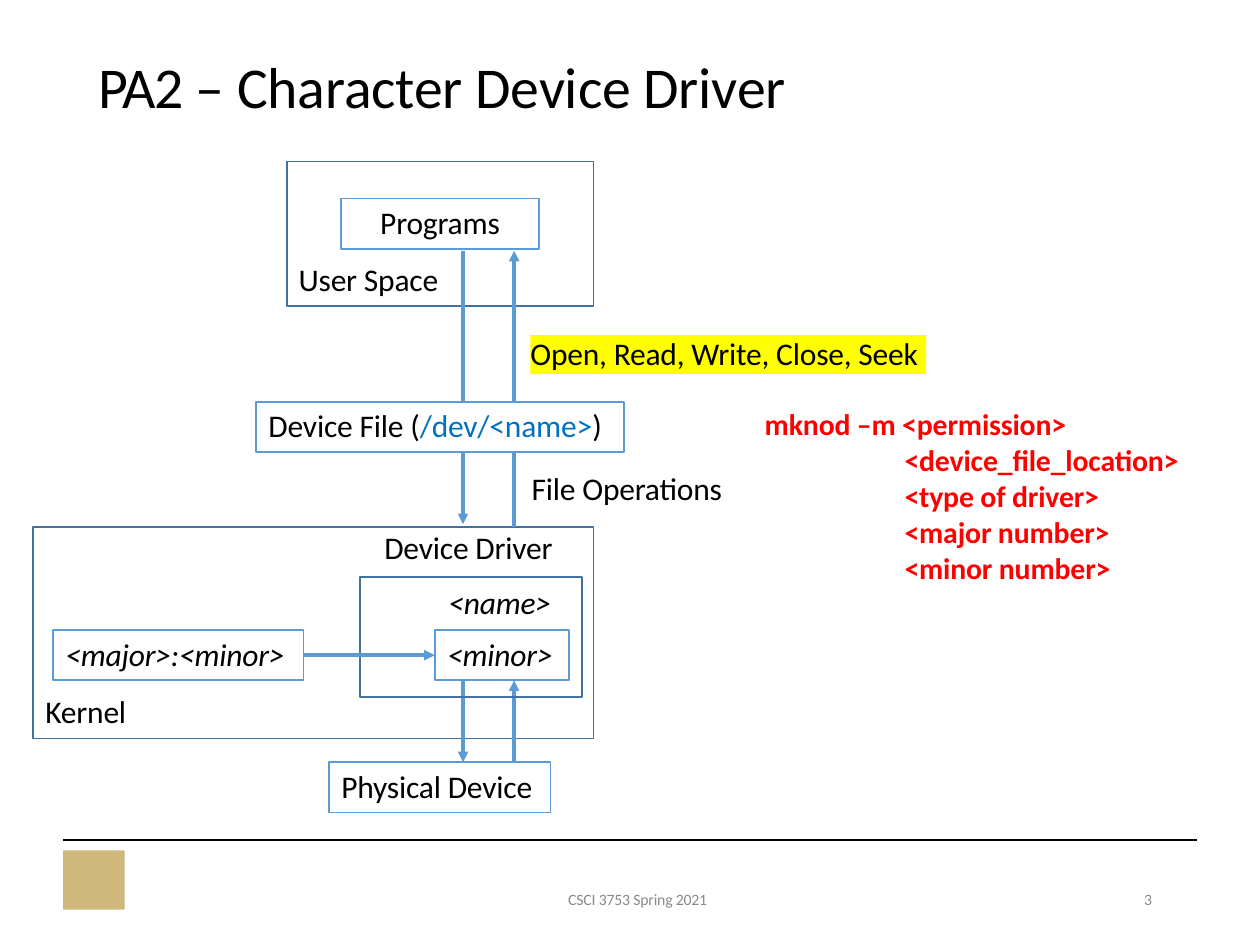
from dataclasses import dataclass

from lxml.etree import SubElement
from pptx import Presentation
from pptx.dml.color import RGBColor
from pptx.enum.shapes import MSO_CONNECTOR as Conn, MSO_SHAPE as Shape
from pptx.enum.text import MSO_ANCHOR as Anchor, MSO_AUTO_SIZE as AutoSize, PP_ALIGN as Align
from pptx.oxml.ns import qn
from pptx.util import Pt

COLORS = {
    "black": "000000", "white": "FFFFFF", "red": "FF0000", "blue": "0070C0",
    "grey": "898989", "yellow": "FFFF00", "gold": "CFB87C",
    "box": "5B9BD5", "frame": "41719C",
}
FONT = "Calibri"


@dataclass
class Run:
    text: str
    color: str = "black"
    size: float = 18
    bold: bool = False
    italic: bool = False
    spacing: float = -0.1


@dataclass
class Para:
    runs: list[Run]
    indent: float = 0.7
    before: float = 1
    line_height: float | None = None


@dataclass
class Block:
    x: float
    y: float
    w: float
    h: float
    paras: list[Para]
    top: float = 1
    line: str | None = None
    fill: str | None = None


@dataclass
class Arrow:
    x: float
    start: float
    end: float


def rgb(name: str) -> RGBColor:
    return RGBColor.from_string(COLORS[name])


def write(tf, paras: list[Para], top: float) -> None:
    tf.word_wrap = True
    tf.auto_size = AutoSize.NONE
    tf.vertical_anchor = Anchor.TOP
    tf.margin_left = tf.margin_right = tf.margin_bottom = 0
    tf.margin_top = Pt(top)
    for i, para in enumerate(paras):
        p = tf.add_paragraph() if i else tf.paragraphs[0]
        p.alignment = Align.LEFT
        p.space_before = Pt(para.before)
        if para.line_height:
            p.line_spacing = Pt(para.line_height)
        p._p.get_or_add_pPr().set("marL", str(Pt(para.indent)))
        for run in para.runs:
            r = p.add_run()
            r.text = run.text
            r.font.name, r.font.size = FONT, Pt(run.size)
            r.font.bold, r.font.italic = run.bold, run.italic
            r.font.color.rgb = rgb(run.color)
            r._r.get_or_add_rPr().set("spc", str(round(run.spacing * 100)))


def add_block(s, b: Block):
    area = Pt(b.x), Pt(b.y), Pt(b.w), Pt(b.h)
    if b.line or b.fill:
        sp = s.shapes.add_shape(Shape.RECTANGLE, *area)
        sp.shadow.inherit = False
        if b.fill:
            sp.fill.solid()
            sp.fill.fore_color.rgb = rgb(b.fill)
        else:
            sp.fill.background()
        if b.line:
            sp.line.color.rgb = rgb(b.line)
            sp.line.width = Pt(1)
        else:
            sp.line.fill.background()
    else:
        sp = s.shapes.add_textbox(*area)
    if b.paras:
        write(sp.text_frame, b.paras, b.top)
    return sp


def add_line(s, x1: float, y1: float, x2: float, y2: float,
             color: str = "box", width: float = 2, head: bool = True):
    c = s.shapes.add_connector(Conn.STRAIGHT, Pt(x1), Pt(y1), Pt(x2), Pt(y2))
    c.line.color.rgb = rgb(color)
    c.line.width = Pt(width)
    if head:
        SubElement(c.line._get_or_add_ln(), qn("a:tailEnd"), type="triangle")
    SubElement(c._element.spPr, qn("a:effectLst"))
    return c


def frame(x: float, y: float, w: float, h: float) -> Block:
    return Block(x, y, w, h, [], line="frame")


def box(x: float, y: float, w: float, runs: list[Run], indent: float = 7.2,
        fill: str | None = None) -> Block:
    return Block(x, y, w, 28.8, [Para(runs, indent, 2.6)], 2.6, "box", fill)


def label(x: float, y: float, w: float, text: str) -> Block:
    return Block(x, y, w, 23.8, [Para([Run(text)])])


def footer(x: float, w: float, text: str, indent: float) -> Block:
    run = Run(text, "grey", 9)
    return Block(x, 507.6, w, 13, [Para([run], indent, 0.6)])


def command(text: str, indent: float = 80.6, before: float = 0) -> Para:
    return Para([Run(text, "red", 17, bold=True)], indent, before, 20.3)


FRAMES = [frame(18.7, 301, 320.4, 121), frame(164.2, 92.2, 175, 82.8)]

DOWN_X, UP_X = 264.6, 293.8
ARROWS = [
    Arrow(DOWN_X, 143.3, 299.5), Arrow(UP_X, 301, 143.3),
    Arrow(DOWN_X, 388.8, 435.6), Arrow(UP_X, 435.6, 388.8),
]

BLOCKS = [
    box(195, 113.5, 113, [Run("Programs")], 22.3),
    box(187.9, 435.6, 126.7, [Run("Physical Device")]),
    box(146.2, 229.7, 210.2,
        [Run("Device File ("), Run("/dev/<name>", "blue"), Run(")")], fill="white"),
    label(25.2, 394.6, 49, "Kernel"),
    label(170, 147.6, 83, "User Space"),
    label(303.1, 267.1, 112.3, "File Operations"),
    label(218.9, 301, 100.1, "Device Driver"),
    Block(303.1, 191.5, 226.1, 22.3,
          [Para([Run("Open, Read, Write, Close, Seek")], 0, 0, 20.7)], 0, fill="yellow"),
    Block(436.3, 231.1, 239.8, 104.4, [
        command("mknod –m <permission>", 0.7, 1),
        command("<device_file_location>"),
        command("<type of driver>", before=0.5),
        command("<major number>"),
        command("<minor number>", before=0.5),
    ]),
    Block(205.9, 329.8, 126.7, 68.4,
          [Para([Run("<name>", italic=True)], 50.4, 3.8)], 3.6, "frame"),
    footer(650.9, 15, "3", 2.9),
    footer(324, 90, "CSCI 3753 Spring 2021", 0.7),
]


def main() -> None:
    prs = Presentation()
    prs.slide_width, prs.slide_height = Pt(720), Pt(540)
    s = prs.slides.add_slide(prs.slide_layouts[5])

    # Title
    title = s.shapes.title
    title.left, title.top, title.width, title.height = Pt(55.4), Pt(28.1), Pt(400), Pt(41.8)
    write(title.text_frame, [Para([
        Run("PA2 ", size=33, spacing=-0.8),
        Run("– ", size=33, spacing=0),
        Run("Character Device Driver", size=33),
    ])], 1)

    # Footer rule and emblem placeholder
    add_line(s, 36, 480.2, 684, 480.2, "black", 1, head=False)
    add_block(s, Block(36, 486, 35.3, 33.8, [], fill="gold"))

    # Frames, then arrows, then the boxes that cover them
    for f in FRAMES:
        add_block(s, f)
    for a in ARROWS:
        add_line(s, a.x, a.start, a.x, a.end)
    for b in BLOCKS:
        add_block(s, b)

    # Device number lookup
    major = add_block(s, box(30.2, 360, 143.3, [Run("<major>:<minor>", italic=True)]))
    minor = add_block(s, box(248.4, 360, 77, [Run("<minor>", italic=True)]))
    lookup = add_line(s, 173.5, 374.4, 248.4, 374.4)
    lookup.begin_connect(major, 3)
    lookup.end_connect(minor, 1)

    prs.save("out.pptx")


if __name__ == "__main__":
    main()
